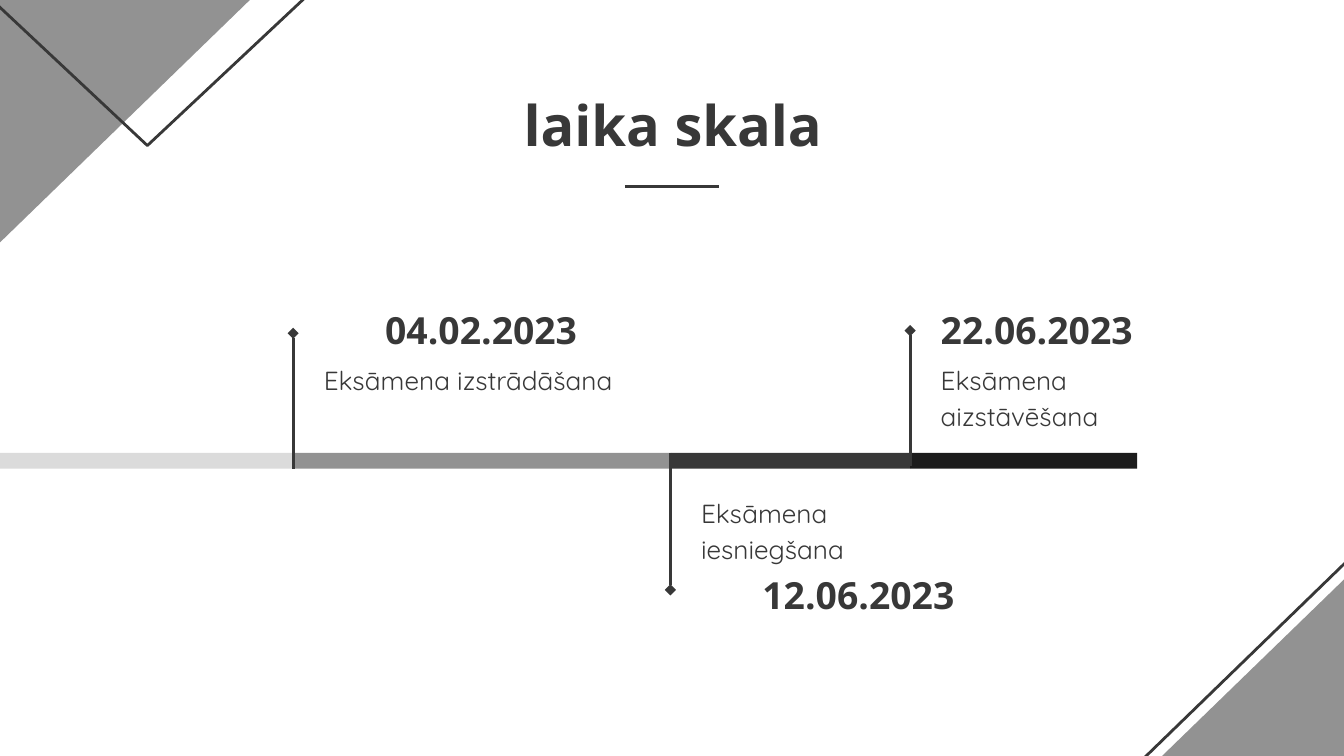
from lxml import etree
from pptx import Presentation
from pptx.dml.color import RGBColor
from pptx.enum.shapes import MSO_CONNECTOR, MSO_SHAPE
from pptx.enum.text import MSO_ANCHOR, PP_ALIGN
from pptx.oxml.ns import qn
from pptx.util import Cm, Pt

RECTANGLE = MSO_SHAPE.RECTANGLE
CORNER = MSO_SHAPE.RIGHT_TRIANGLE
TRIANGLE = MSO_SHAPE.ISOSCELES_TRIANGLE
STRAIGHT = MSO_CONNECTOR.STRAIGHT
LEFT, CENTER = PP_ALIGN.LEFT, PP_ALIGN.CENTER

THEME = {
    "ink": RGBColor.from_string("383838"),
    "black": RGBColor.from_string("1C1C1C"),
    "gray": RGBColor.from_string("929292"),
    "pale": RGBColor.from_string("DBDBDB"),
    "stroke": Pt(1.5),
    "heading": {"name": "Open Sans", "size": Pt(30), "bold": True},
    "date": {"name": "Open Sans", "size": Pt(20), "bold": True},
    "label": {"name": "Quicksand", "size": Pt(14), "bold": False},
}
LABEL_SPACING = {"line_spacing": 1.15, "space_after": Pt(16)}

prs = Presentation()
prs.slide_width, prs.slide_height = Cm(25.4), Cm(14.29)
slide = prs.slides.add_slide(prs.slide_layouts[6])
shapes = slide.shapes


def add_text(text, box, style, align=LEFT, spacing=None):
    """Add a wrapped, top-anchored text in a box given in centimetres."""
    frame = shapes.add_textbox(*map(Cm, box)).text_frame
    frame_format = {"word_wrap": True, "vertical_anchor": MSO_ANCHOR.TOP}
    for side in ("left", "top", "right", "bottom"):
        frame_format[f"margin_{side}"] = Cm(0.25)
    paragraph = frame.paragraphs[0]
    run = paragraph.add_run()
    run.text = text
    run.font.color.rgb = THEME["ink"]
    for target, values in (
        (frame, frame_format),
        (paragraph, {"alignment": align, **(spacing or {})}),
        (run.font, THEME[style]),
    ):
        for attribute, value in values.items():
            setattr(target, attribute, value)


def add_line(x1, y1, x2, y2, diamond_end=False):
    """Add a straight line, with a diamond at its end if asked."""
    connector = shapes.add_connector(STRAIGHT, Cm(x1), Cm(y1), Cm(x2), Cm(y2))
    connector.line.color.rgb = THEME["ink"]
    connector.line.width = THEME["stroke"]
    properties = connector.element.spPr
    if diamond_end:
        etree.SubElement(properties.find(qn("a:ln")), qn("a:tailEnd"), type="diamond")
    etree.SubElement(properties, qn("a:effectLst"))


# Corner decorations and timeline segments: preset, box, rotation, fill (None = outline)
bar_top, bar_height = 8.56, 0.3
bar_stops = [-1.63, 5.54, 12.67, 17.2, 21.49]
bar_colors = ["pale", "gray", "ink", "black"]
areas = [
    (CORNER, (19.51, 7.21, 9.45, 9.17), 0, None),
    (CORNER, (19.81, 7.21, 9.45, 9.17), 0, "gray"),
    (CORNER, (-2.11, -2.54, 9.45, 9.17), 180, "gray"),
    (TRIANGLE, (-4.67, -4.24, 14.91, 6.99), 180, None),
]
for start, end, color in zip(bar_stops, bar_stops[1:], bar_colors):
    areas.append((RECTANGLE, (start, bar_top, end - start, bar_height), 0, color))

for preset, box, rotation, color in areas:
    area = shapes.add_shape(preset, *map(Cm, box))
    area.shadow.inherit = False
    area.rotation = rotation
    if preset == CORNER:
        area.element.spPr.find(qn("a:xfrm")).set("flipH", "1")
    if color:
        area.fill.solid()
        area.fill.fore_color.rgb = THEME[color]
        area.line.fill.background()
    else:
        area.fill.background()
        area.line.color.rgb = THEME["ink"]
        area.line.width = THEME["stroke"]

# Heading with its rule
add_text("laika skala", (2.49, 1.47, 20.45, 1.47), "heading", CENTER)
add_line(11.81, 3.53, 13.59, 3.53)

# Milestones: date, label, date alignment, stem start and tip, date and label tops, label width
milestones = [
    ("04.02.2023", "Eksāmena izstrādāšana", CENTER, 8.86, 6.3, 5.56, 6.55, 6.45),
    ("12.06.2023", "Eksāmena iesniegšana", CENTER, 8.56, 11.15, 10.57, 9.07, 3.68),
    ("22.06.2023", "Eksāmena aizstāvēšana", LEFT, 8.81, 6.25, 5.56, 6.55, 3.96),
]
for x, milestone in zip(bar_stops[1:], milestones):
    date, label, align, stem_start, stem_tip, date_top, label_top, label_width = milestone
    add_line(x, stem_start, x, stem_tip, diamond_end=True)
    text_left = x + 0.33
    add_text(date, (text_left, date_top, 6.45, 1.22), "date", align)
    add_text(label, (text_left, label_top, label_width, 1.35), "label", spacing=LABEL_SPACING)

prs.save("out.pptx")
